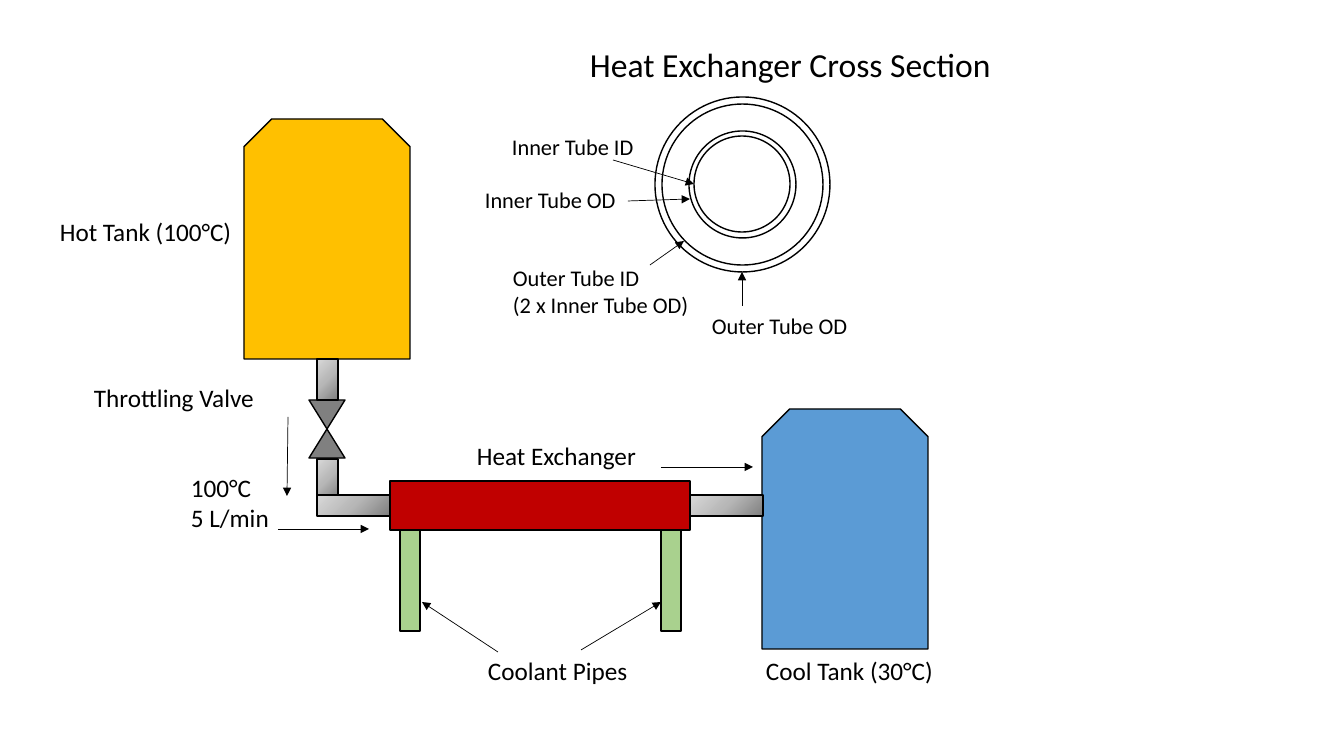
from dataclasses import dataclass

from lxml.etree import SubElement
from pptx import Presentation
from pptx.dml.color import RGBColor
from pptx.enum.shapes import MSO_CONNECTOR, MSO_SHAPE
from pptx.enum.text import MSO_AUTO_SIZE
from pptx.oxml import parse_xml
from pptx.oxml.ns import nsdecls, qn
from pptx.slide import Slide
from pptx.util import Emu, Pt

SCALE = 914400 / 100.8
BLACK = "000000"
GREY = "808080"
COOLANT = "A9D18E"
STEEL_STOPS = ((0, GREY), (50, "B7B7B7"), (100, "D9D9D9"))


@dataclass(frozen=True)
class Part:
    kind: MSO_SHAPE
    left: int
    top: int
    width: int
    height: int
    fill: str | None = None
    rotation: int = 0


@dataclass(frozen=True)
class Label:
    text: str
    left: int
    top: int
    width: int
    height: int
    size: int


@dataclass(frozen=True)
class Arrow:
    start: tuple[int, int]
    end: tuple[int, int]


def px(value: float) -> Emu:
    return Emu(round(value * SCALE))


def color(value: str) -> RGBColor:
    return RGBColor.from_string(value)


def steel_gradient():
    stops = "".join(
        f'<a:gs pos="{position * 1000}"><a:srgbClr val="{tone}"/></a:gs>'
        for position, tone in STEEL_STOPS
    )
    return parse_xml(
        f'<a:gradFill rotWithShape="1" {nsdecls("a")}><a:gsLst>{stops}</a:gsLst>'
        '<a:path path="circle"><a:fillToRect l="100000" t="100000"/></a:path>'
        "</a:gradFill>"
    )


def draw_part(page: Slide, part: Part) -> None:
    shape = page.shapes.add_shape(
        part.kind, px(part.left), px(part.top), px(part.width), px(part.height)
    )
    shape.rotation = part.rotation
    shape.shadow.inherit = False
    shape.line.color.rgb = color(BLACK)
    shape.line.width = Pt(1)
    if part.fill is None:
        shape.fill.background()
    elif part.fill == "steel":
        shape.element.spPr.find(qn("a:prstGeom")).addnext(steel_gradient())
    else:
        shape.fill.solid()
        shape.fill.fore_color.rgb = color(part.fill)


def draw_label(page: Slide, label: Label) -> None:
    box = page.shapes.add_textbox(
        px(label.left), px(label.top), px(label.width), px(label.height)
    )
    frame = box.text_frame
    frame.word_wrap = False
    frame.auto_size = MSO_AUTO_SIZE.SHAPE_TO_FIT_TEXT
    frame.text = label.text
    for para in frame.paragraphs:
        para.font.name = "Calibri"
        para.font.size = Pt(label.size)
        para.font.color.rgb = color(BLACK)


def draw_arrow(page: Slide, arrow: Arrow) -> None:
    connector = page.shapes.add_connector(
        MSO_CONNECTOR.STRAIGHT, *map(px, arrow.start + arrow.end)
    )
    connector.line.color.rgb = color(BLACK)
    connector.line.width = Pt(0.5)
    SubElement(connector.line._get_or_add_ln(), qn("a:tailEnd"), type="triangle")
    SubElement(connector.element.spPr, qn("a:effectLst"))


def tank(left: int, top: int, fill: str) -> Part:
    return Part(MSO_SHAPE.SNIP_2_SAME_RECTANGLE, left, top, 166, 240, fill)


def pipe(left: int, top: int, length: int, rotation: int = 0) -> Part:
    return Part(MSO_SHAPE.RECTANGLE, left, top, 21, length, "steel", rotation)


def valve_half(top: int, rotation: int = 0) -> Part:
    return Part(MSO_SHAPE.ISOSCELES_TRIANGLE, 309, top, 36, 29, GREY, rotation)


def coolant_pipe(left: int) -> Part:
    return Part(MSO_SHAPE.RECTANGLE, left, 530, 20, 101, COOLANT)


def ring(diameter: int) -> Part:
    return Part(
        MSO_SHAPE.OVAL, 742 - diameter // 2, 184 - diameter // 2, diameter, diameter
    )


PARTS = [
    tank(244, 119, "FFC000"),
    tank(762, 409, "5B9BD5"),
    Part(MSO_SHAPE.RECTANGLE, 390, 481, 300, 49, "C00000"),
    pipe(317, 459, 41),
    valve_half(429),
    valve_half(400, 180),
    pipe(317, 359, 41),
    pipe(343, 469, 73, 270),
    pipe(716, 469, 73, 270),
    coolant_pipe(661),
    coolant_pipe(400),
    *map(ring, (175, 161, 107, 96)),
]

LABELS = [
    Label("Heat Exchanger Cross Section", 580, 39, 425, 50, 24),
    Label("Hot Tank (100°C)", 50, 211, 194, 40, 18),
    Label("Throttling Valve", 84, 377, 182, 40, 18),
    Label("100°C\n5 L/min", 181, 467, 100, 72, 18),
    Label("Heat Exchanger", 467, 435, 181, 40, 18),
    Label("Coolant Pipes", 478, 650, 161, 40, 18),
    Label("Cool Tank (30°C)", 756, 650, 190, 40, 18),
    Label("Inner Tube ID", 502, 128, 143, 37, 16),
    Label("Inner Tube OD", 475, 181, 153, 37, 16),
    Label("Outer Tube ID\n(2 x Inner Tube OD)", 503, 259, 198, 65, 16),
    Label("Outer Tube OD", 702, 307, 157, 37, 16),
]

ARROWS = [
    Arrow((581, 650), (661, 602)),
    Arrow((498, 652), (422, 602)),
    Arrow((288, 417), (287, 496)),
    Arrow((278, 529), (369, 529)),
    Arrow((661, 467), (753, 467)),
    Arrow((742, 306), (742, 272)),
    Arrow((650, 265), (684, 241)),
    Arrow((613, 160), (694, 184)),
    Arrow((628, 201), (690, 199)),
]

deck = Presentation()
deck.slide_width = px(1344)
deck.slide_height = px(756)
page = deck.slides.add_slide(deck.slide_layouts[6])
for part in PARTS:
    draw_part(page, part)
for label in LABELS:
    draw_label(page, label)
for arrow in ARROWS:
    draw_arrow(page, arrow)
deck.save("out.pptx")
